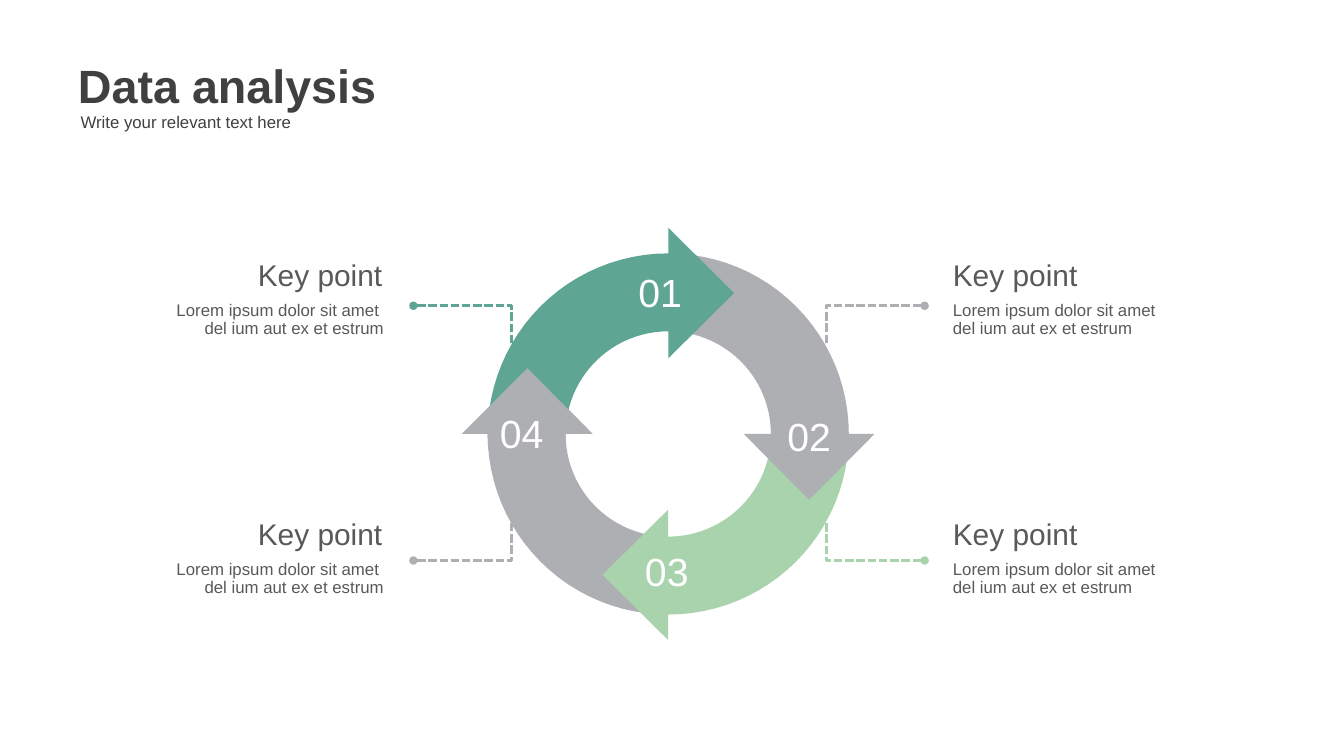
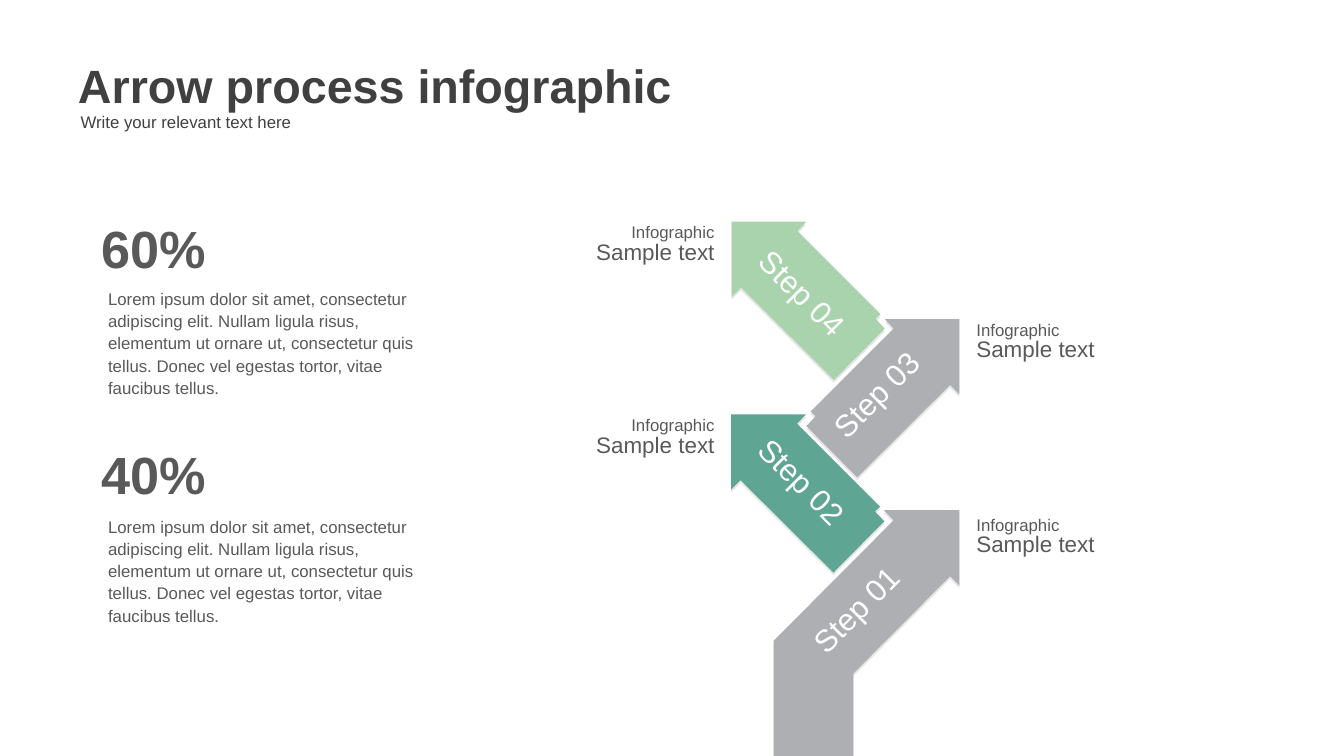
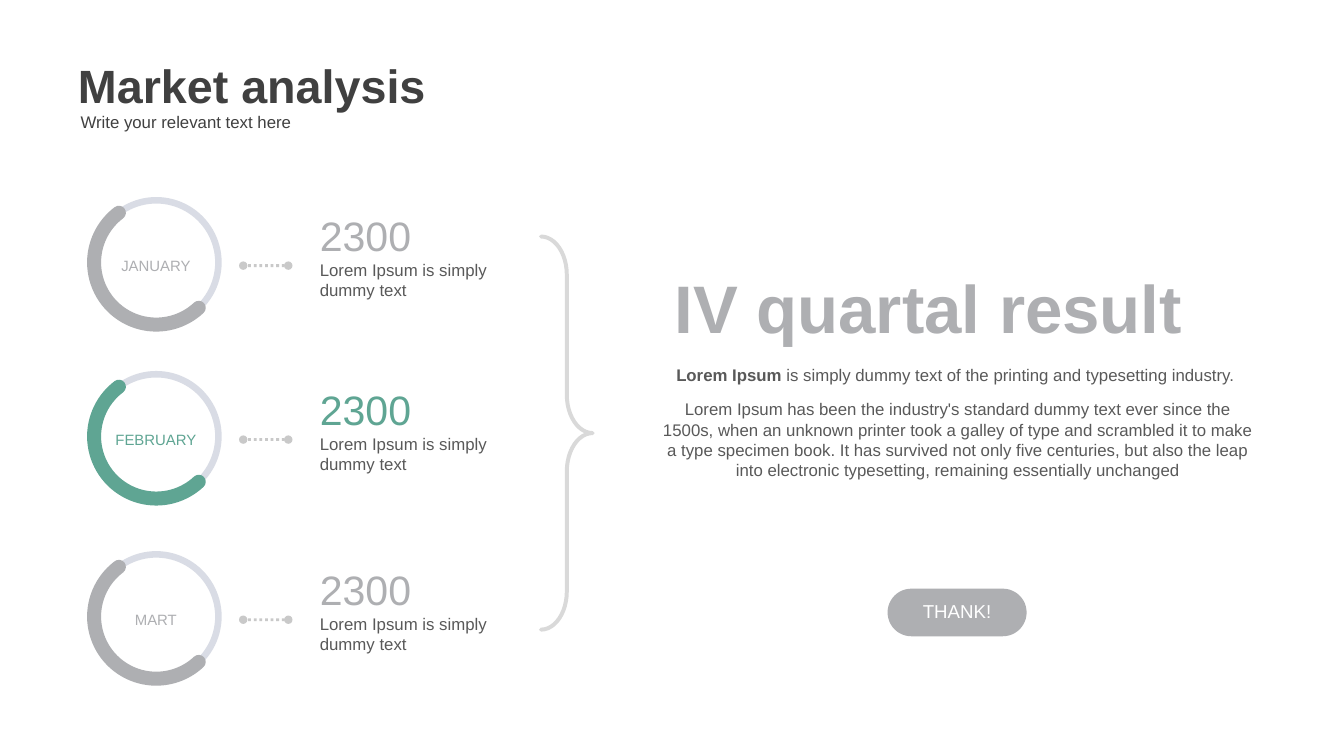
"""Build three infographic slides: a cycle, an arrow process and a market summary."""
import math
from dataclasses import dataclass, replace
from typing import Any, Optional

import pptx
import pptx.dml.color
import pptx.enum.dml
import pptx.enum.shapes
import pptx.enum.text
import pptx.oxml
import pptx.oxml.ns
import pptx.util
from lxml import etree

Pt = pptx.util.Pt
Align = pptx.enum.text.PP_ALIGN
Dash = pptx.enum.dml.MSO_LINE
Preset = pptx.enum.shapes.MSO_SHAPE

FONT = "Arial"
TEAL, MINT, GREY = "5FA593", "A8D3AC", "AEAFB2"
INK, TEXT, WHITE = "404040", "595959", "FFFFFF"
TRACK, BRACE, DOTS = "D9DCE5", "D9D9D9", "A6A6A6"
WIDE_INSETS, SLIM_INSETS, NO_INSETS = (7.2, 3.6), (5, 3), (0, 0)

Point = tuple[float, float]


@dataclass(frozen=True)
class Area:
    left: float
    top: float
    width: float
    height: float


@dataclass(frozen=True)
class Span:
    text: str
    size: float = 18
    color: str = TEXT
    bold: bool = False


@dataclass(frozen=True)
class Para:
    spans: tuple[Span, ...]
    align: Any = Align.LEFT
    spacing: float = 1.0
    before: float = 0


@dataclass(frozen=True)
class KeyPoint:
    color: str
    on_left: bool
    text_top: float
    line_top: float
    line_end: float


@dataclass(frozen=True)
class Step:
    label: str
    color: str
    tip: Point
    points_left: bool
    outline: list[Point]
    label_at: Point
    caption_top: float


@dataclass(frozen=True)
class Month:
    name: str
    color: str
    top: float


def paint(target: Any, color: str) -> None:
    """Give a fill or font a solid colour."""
    if hasattr(target, "solid"):
        target.solid()
        target.fore_color.rgb = pptx.dml.color.RGBColor.from_string(color)
    else:
        target.color.rgb = pptx.dml.color.RGBColor.from_string(color)


def add_mark(parent: Any, tag: str, **attributes: str) -> Any:
    """Append a drawing element with its attributes."""
    return etree.SubElement(parent, pptx.oxml.ns.qn(tag), attributes)


def stroke(shape: Any, color: str, width: float, dash: Any = None,
           ends: tuple[str, ...] = (), round_cap: bool = False) -> None:
    """Style an outline, with optional dashes, oval ends and round caps."""
    paint(shape.line.fill, color)
    shape.line.width = Pt(width)
    if dash is not None:
        shape.line.dash_style = dash
    line = shape.line._get_or_add_ln()
    if round_cap:
        line.set("cap", "rnd")
    for end in ends:
        add_mark(line, end, type="oval")


def write(frame: Any, paras: list[Para], insets: Point = WIDE_INSETS,
          anchor: Any = pptx.enum.text.MSO_ANCHOR.TOP) -> None:
    """Fill a text frame paragraph by paragraph and run by run."""
    frame.word_wrap = True
    frame.auto_size = pptx.enum.text.MSO_AUTO_SIZE.NONE
    frame.vertical_anchor = anchor
    frame.margin_left = frame.margin_right = Pt(insets[0])
    frame.margin_top = frame.margin_bottom = Pt(insets[1])
    for index, item in enumerate(paras):
        para = frame.paragraphs[0] if index == 0 else frame.add_paragraph()
        properties = para._p.get_or_add_pPr()
        properties.set("marL", "0")
        properties.set("indent", "0")
        add_mark(properties, "a:buNone")
        para.alignment = item.align
        para.line_spacing = item.spacing
        para.space_before = Pt(item.before)
        for span in item.spans:
            run = para.add_run()
            run.text = span.text
            run.font.name = FONT
            run.font.size = Pt(span.size)
            run.font.bold = span.bold
            paint(run.font, span.color)


def place(shape: Any, area: Area) -> None:
    """Move and size a shape."""
    shape.left, shape.top = Pt(area.left), Pt(area.top)
    shape.width, shape.height = Pt(area.width), Pt(area.height)


def add_text(page: Any, area: Area, paras: list[Para],
             insets: Point = WIDE_INSETS, rotation: float = 0) -> None:
    """Add a text box."""
    box = page.shapes.add_textbox(0, 0, 0, 0)
    place(box, area)
    box.rotation = rotation
    write(box.text_frame, paras, insets)


def add_preset(page: Any, kind: Any, area: Area, adjustments: tuple[float, ...],
               fill: Optional[str] = None) -> Any:
    """Add a preset shape without shadow or outline."""
    shape = page.shapes.add_shape(kind, 0, 0, 0, 0)
    place(shape, area)
    shape.shadow.inherit = False
    for index, value in enumerate(adjustments):
        shape.adjustments[index] = value
    if fill:
        paint(shape.fill, fill)
    else:
        shape.fill.background()
    shape.line.fill.background()
    return shape


def add_outline(page: Any, points: list[Point], fill: Optional[str] = None) -> Any:
    """Add a freeform: closed when it has a fill, else an open line."""
    corners = [(Pt(x), Pt(y)) for x, y in points]
    builder = page.shapes.build_freeform(*corners[0])
    builder.add_line_segments(corners[1:], close=fill is not None)
    shape = builder.convert_to_shape()
    shape.shadow.inherit = False
    if fill:
        paint(shape.fill, fill)
        shape.line.fill.background()
    else:
        shape.fill.background()
    return shape


def add_page(deck: Any, title: str, layout: int = 5) -> Any:
    """Add a slide with its title and subtitle."""
    page = deck.slides.add_slide(deck.slide_layouts[layout])
    place(page.shapes.title, Area(76.3, 56.9, 817, 67.7))
    heading = Para((Span(title, 50, INK, True),), Align.JUSTIFY)
    write(page.shapes.title.text_frame, [heading])
    add_text(page, Area(79.2, 115.9, 651, 28.8),
             [Para((Span("Write your relevant text here", color=INK),))])
    return page


def cycle_arrow(quarter: int, sweep: float = 90) -> list[Point]:
    """Outline a ring arrow that covers the sweep before its head."""
    center_x, center_y = 716, 465
    outer, inner, tip_radius, half_head, head_length = 193.5, 110, 151, 70, 70.5
    angles = [sweep * (step / 24 - 1) for step in range(25)]

    def polar(radius: float, degrees: float) -> Point:
        angle = math.radians(degrees)
        return radius * math.sin(angle), -radius * math.cos(angle)

    points = [polar(outer, angle) for angle in angles]
    points += [(0, -tip_radius - half_head), (head_length, -tip_radius),
               (0, -tip_radius + half_head)]
    points += [polar(inner, angle) for angle in reversed(angles)]
    for _ in range(quarter):
        points = [(-y, x) for x, y in points]
    return [(center_x + x, center_y + y) for x, y in points]


def add_key_point(page: Any, item: KeyPoint) -> None:
    """Add a dashed pointer with its heading and text."""
    dot, bend = (443, 548) if item.on_left else (990.7, 885.6)
    pointer = add_outline(page, [(dot, item.line_top), (bend, item.line_top),
                                 (bend, item.line_end)])
    stroke(pointer, item.color, 3, Dash.SQUARE_DOT, ("a:headEnd",))
    align = Align.RIGHT if item.on_left else Align.LEFT
    heading_left, body_left = (106.6, 179.3) if item.on_left else (1013.8, 1013.8)
    first = "Lorem ipsum dolor sit amet" + (" " if item.on_left else "")
    add_text(page, Area(heading_left, item.text_top, 310.3, 42.5),
             [Para((Span("Key point", 32),), align, 0.9)])
    add_text(page, Area(body_left, item.text_top + 43.9, 239, 46.8),
             [Para((Span(line),), align, 0.9)
              for line in (first, "del ium aut ex et estrum")])


def build_cycle(deck: Any) -> None:
    """Build the four-arrow cycle slide."""
    page = add_page(deck, "Data analysis")
    colors = [TEAL, GREY, MINT, GREY]
    for quarter in (3, 2, 1, 0):
        add_outline(page, cycle_arrow(quarter), colors[quarter])
    add_outline(page, cycle_arrow(3, 5), colors[3])
    number_places = [(676.8, 283.7), (836.6, 438.5), (684, 583.2), (528.5, 434.9)]
    for index, (left, top) in enumerate(number_places, 1):
        add_text(page, Area(left, top, 77, 58.3),
                 [Para((Span(f"{index:02}", 42, WHITE),))])
    for item in (KeyPoint(TEAL, True, 275.8, 327.6, 368),
                 KeyPoint(GREY, True, 553.7, 600.5, 560),
                 KeyPoint(GREY, False, 275.8, 327.6, 368),
                 KeyPoint(MINT, False, 553.7, 600.5, 560)):
        add_key_point(page, item)


def add_step(page: Any, step: Step) -> None:
    """Add a step arrow, its slanted label and its caption."""
    side = 1 if step.points_left else -1
    arrow = add_outline(page, [(step.tip[0] + side * x, step.tip[1] + y)
                               for x, y in step.outline], step.color)
    effects = arrow._element.spPr.find(pptx.oxml.ns.qn("a:effectLst"))
    shadow = add_mark(effects, "a:outerShdw", blurRad="0", dist=str(Pt(3)),
                      dir="5400000", algn="t", rotWithShape="0")
    color = add_mark(shadow, "a:srgbClr", val="000000")
    add_mark(color, "a:alpha", val="10000")
    add_text(page, Area(*step.label_at, 184.3, 41),
             [Para((Span(step.label, 33, WHITE),), spacing=0.85)], rotation=45 * side)
    align = Align.RIGHT if step.points_left else Align.LEFT
    add_text(page, Area(530.6 if step.points_left else 1039, step.caption_top, 242, 50.4),
             [Para((Span("Infographic"),), align, 0.85),
              Para((Span("Sample text", 24),), align, 0.85)])


def build_process(deck: Any) -> None:
    """Build the stacked arrow process slide."""
    page = add_page(deck, "Arrow process infographic")
    stem = [(0, 0), (81, 0), (70.5, 11), (199, 140), (199, 263.5),
            (113.5, 263.5), (113.5, 175), (10, 71), (0, 81)]
    branch = [(0, 0), (80, 0), (70.5, 10), (159.5, 99), (154, 104),
              (164, 114.5), (109.5, 169.5), (10, 70.5), (0, 80.5)]
    for step in (
        Step("Step 01", GREY, (1028, 546.5), False, stem, (846.7, 614.2), 550.8),
        Step("Step 02", TEAL, (783.5, 444), True, branch, (784.8, 517), 444.2),
        Step("Step 03", GREY, (1028, 342), False, branch, (868.3, 383.8), 342),
        Step("Step 04", MINT, (784, 237.6), True, branch, (785.5, 315.4), 237.6),
    ):
        add_step(page, step)
    story = ("Lorem ipsum dolor sit amet, consectetur adipiscing elit. Nullam ligula "
             "risus, elementum ut ornare ut, consectetur quis tellus. Donec vel "
             "egestas tortor, vitae faucibus tellus.")
    for share, share_top, story_top in (("60%", 241.9, 303.8), ("40%", 483.8, 547.9)):
        add_text(page, Area(108.7, share_top, 342.7, 57.6),
                 [Para((Span(share, 56, bold=True),), spacing=0.85)], NO_INSETS)
        add_text(page, Area(108.7, story_top, 342.7, 127.4),
                 [Para((Span(story),), spacing=1.1)])


def add_month(page: Any, month: Month) -> None:
    """Add a progress ring, a dotted link and the month's figure."""
    ring = Area(100.8, month.top, 133.2, 133.2)
    for end, color, width in ((46.48, TRACK, 7), (233.07, month.color, 15)):
        arc = add_preset(page, Preset.ARC, ring, (46.86 * 0.6, end * 0.6))
        stroke(arc, color, width, round_cap=True)
    add_text(page, Area(115.9, month.top + 57.6, 102.2, 24.5),
             [Para((Span(month.name, 16, month.color),), Align.CENTER)], SLIM_INSETS)
    level = month.top + 70
    link = page.shapes.add_connector(pptx.enum.shapes.MSO_CONNECTOR.STRAIGHT,
                                     Pt(308.9), Pt(level), Pt(260.6), Pt(level))
    add_mark(link._element.spPr, "a:effectLst")
    stroke(link, DOTS, 3, Dash.ROUND_DOT, ("a:headEnd", "a:tailEnd"))
    for color in link._element.spPr.iter(pptx.oxml.ns.qn("a:srgbClr")):
        add_mark(color, "a:alpha", val="60000")
    add_text(page, Area(337.7, month.top + 7.9, 225.4, 102.2),
             [Para((Span("2300", 44, month.color),)),
              Para((Span("Lorem Ipsum is simply dummy text"),))], SLIM_INSETS)


def build_market(deck: Any) -> None:
    """Build the quarterly market slide."""
    page = add_page(deck, "Market analysis", layout=1)
    for month in (Month("JANUARY", GREY, 214.6), Month("FEBRUARY", TEAL, 401),
                  Month("MART", GREY, 594)):
        add_month(page, month)
    add_text(page, Area(717.8, 282, 616.3, 93.6),
             [Para((Span("IV quartal result", 72, GREY, True),))], SLIM_INSETS)
    brace = add_preset(page, Preset.LEFT_BRACE, Area(579.6, 253.4, 55.4, 421.2),
                       (0.74, 0.5))
    brace.rotation = 180
    stroke(brace, BRACE, 4.25, round_cap=True)
    body = page.placeholders[1]
    place(body, Area(702.7, 387.4, 646.6, 195.8))
    intro = Para((Span("Lorem Ipsum", bold=True),
                  Span(" is simply dummy text of the printing and typesetting industry. ")),
                 Align.CENTER)
    history = ("Lorem Ipsum has been the industry's standard dummy text ever since the "
               "1500s, when an unknown printer took a galley of type and scrambled it to "
               "make a type specimen book. It has survived not only five centuries, but "
               "also the leap into electronic typesetting, remaining essentially unchanged")
    write(body.text_frame, [intro, replace(intro, spans=(Span(history),), before=15)])
    button = add_preset(page, Preset.ROUNDED_RECTANGLE, Area(951, 630.7, 149, 51),
                        (0.5,), GREY)
    write(button.text_frame, [Para((Span("THANK!", 20, WHITE),), Align.CENTER, 0.9)],
          SLIM_INSETS, pptx.enum.text.MSO_ANCHOR.MIDDLE)


def main() -> None:
    """Build and save the deck."""
    deck = pptx.Presentation()
    deck.slide_width, deck.slide_height = Pt(1440), Pt(810)
    build_cycle(deck)
    build_process(deck)
    build_market(deck)
    deck.save("out.pptx")


if __name__ == "__main__":
    main()
